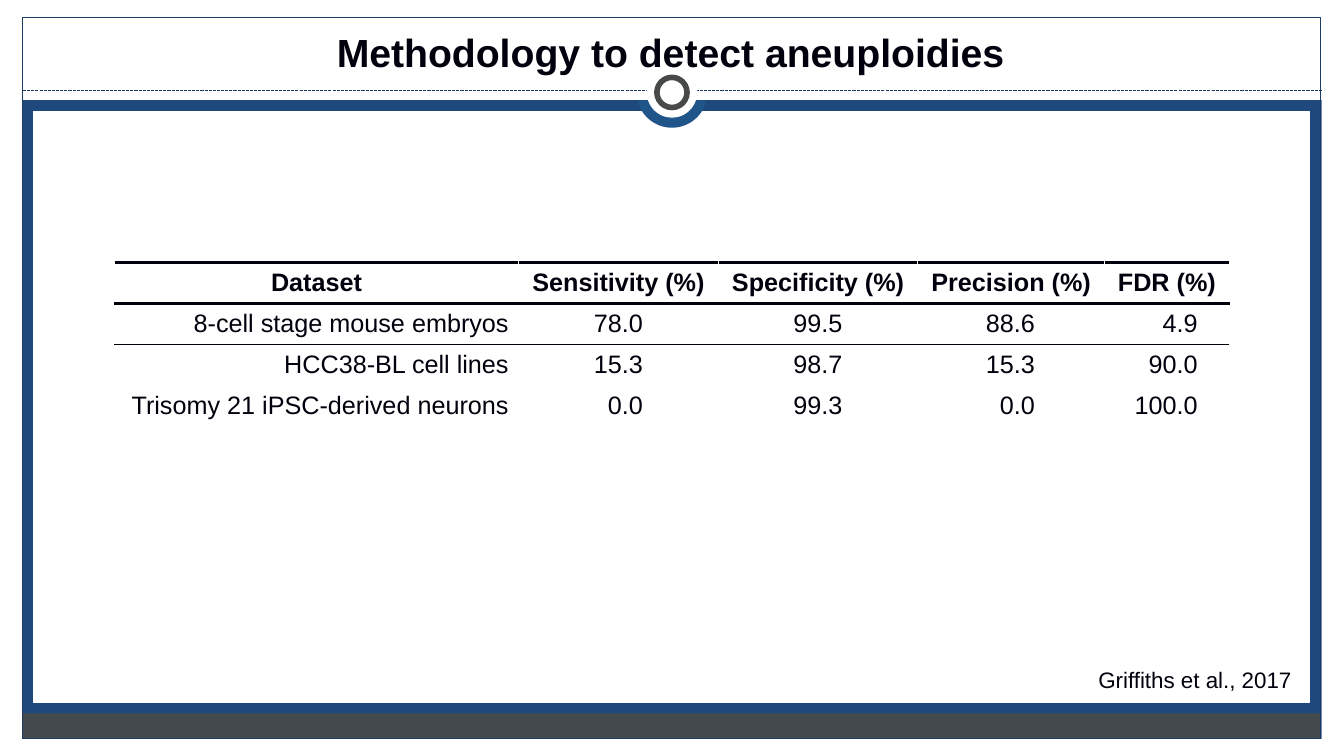
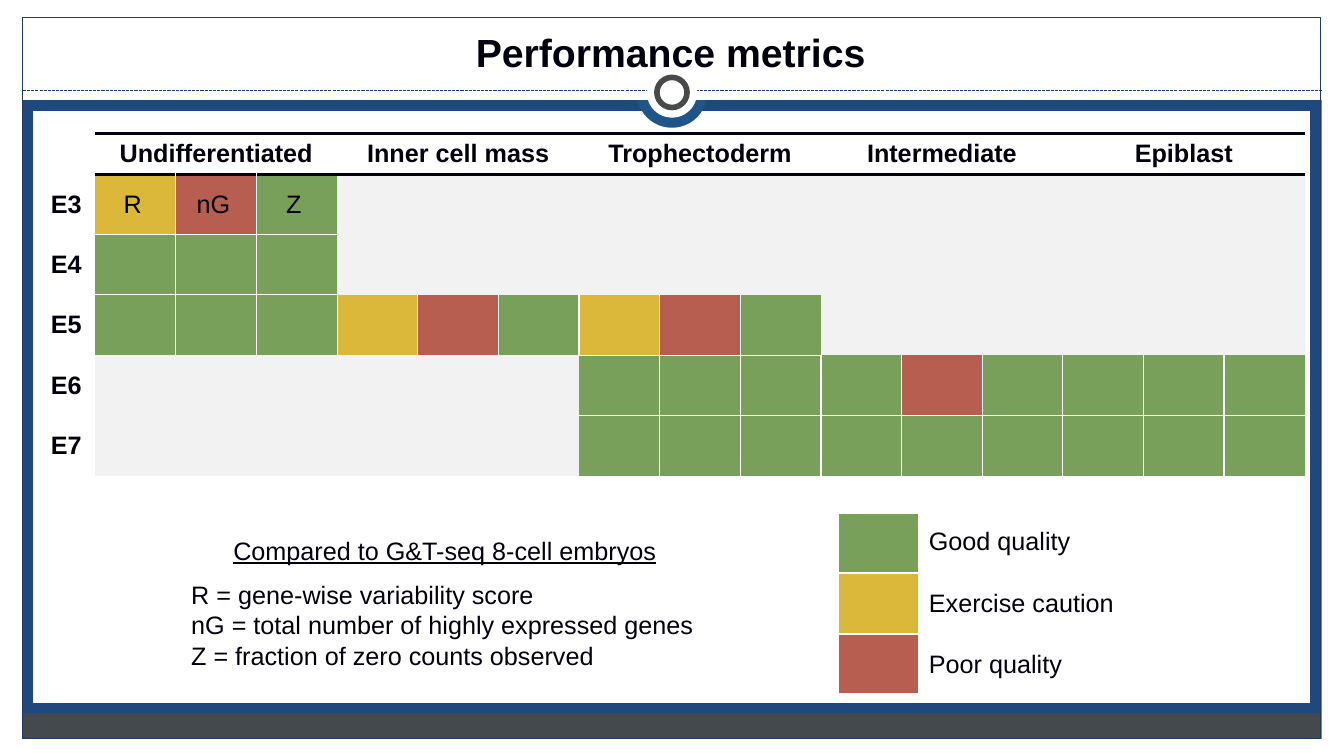
"""Builds two framed slides on aneuploidy detection and its performance metrics."""
from dataclasses import dataclass

from lxml import etree
from pptx import Presentation
from pptx.dml.color import RGBColor
from pptx.enum.dml import MSO_LINE
from pptx.enum.shapes import MSO_CONNECTOR, MSO_SHAPE
from pptx.enum.text import MSO_ANCHOR, PP_ALIGN
from pptx.oxml.ns import qn
from pptx.util import Cm, Pt

RECT, OVAL = MSO_SHAPE.RECTANGLE, MSO_SHAPE.OVAL
LEFT, CENTER, RIGHT = PP_ALIGN.LEFT, PP_ALIGN.CENTER, PP_ALIGN.RIGHT
MIDDLE, STRAIGHT = MSO_ANCHOR.MIDDLE, MSO_CONNECTOR.STRAIGHT
DASHED = MSO_LINE.SQUARE_DOT
PLAIN_TABLE = "{2D5ABB26-0587-4C30-8999-92F81FD0307C}"


@dataclass(frozen=True)
class Theme:
    """Colours, font and type sizes shared by the slides."""
    font: str = "Arial"
    ink: str = "00010D"
    paper: str = "FFFFFF"
    backdrop: str = "1F497D"
    outline: str = "1E3B66"
    medallion: str = "20558A"
    charcoal: str = "484A49"
    good: str = "78A05A"
    caution: str = "DBB839"
    poor: str = "B75E51"
    absent: str = "F2F2F2"
    title_size: int = 28
    body_size: int = 18
    source_size: int = 16


THEME = Theme()
WIDTH, HEIGHT = 33.87, 19.05
EDGE = 0.56
INNER = 32.72
RULE = (THEME.ink, 2.25)
THIN_RULE = (THEME.ink, 1.5)
GAP = (THEME.paper, 1)
SEPARATOR = (THEME.paper, 3)

DETECTION = [
    ["Dataset", "Sensitivity (%)", "Specificity (%)", "Precision (%)", "FDR (%)"],
    ["8-cell stage mouse embryos", "78.0", "99.5", "88.6", "4.9"],
    ["HCC38-BL cell lines", "15.3", "98.7", "15.3", "90.0"],
    ["Trisomy 21 iPSC-derived neurons", "0.0", "99.3", "0.0", "100.0"],
]
LINEAGES = ["Undifferentiated", "Inner cell mass", "Trophectoderm", "Intermediate", "Epiblast"]
METRICS = ["R", "nG", "Z"]
QUALITY = {
    "E3": "CPG............",
    "E4": "GGG............",
    "E5": "GGGCPGCPG......",
    "E6": "......GGGGPGGGG",
    "E7": "......GGGGGGGGG",
}
QUALITY_COLORS = {"G": THEME.good, "C": THEME.caution, "P": THEME.poor, ".": THEME.absent}
LEGEND = {"Good quality": THEME.good, "Exercise caution": THEME.caution,
          "Poor quality": THEME.poor}


def rgb(color):
    """Return the colour object for a hex string."""
    return RGBColor.from_string(color)


def add_text(frame, text, size=THEME.body_size, bold=False, underline=False,
             align=LEFT, after=0, tab=None):
    """Add one formatted paragraph to a text frame."""
    paragraph = frame.paragraphs[0] if not frame.text else frame.add_paragraph()
    paragraph.alignment = align
    paragraph.space_after = Pt(after)
    if tab is not None:
        stops = etree.SubElement(paragraph._p.get_or_add_pPr(), qn("a:tabLst"))
        etree.SubElement(stops, qn("a:tab"), pos=str(Cm(tab)), algn="l")
    run = paragraph.add_run()
    run.text = text
    font = run.font
    font.name, font.size, font.bold, font.underline = THEME.font, Pt(size), bold, underline
    font.color.rgb = rgb(THEME.ink)


def add_box(slide, left, top, width, height):
    """Add a wrapping text box and return its text frame."""
    frame = slide.shapes.add_textbox(Cm(left), Cm(top), Cm(width), Cm(height)).text_frame
    frame.word_wrap = True
    return frame


def add_block(slide, left, top, width, height, kind=RECT, fill=None, line=None, opacity=None):
    """Add a flat shape with an optional fill, outline and opacity in percent."""
    block = slide.shapes.add_shape(kind, Cm(left), Cm(top), Cm(width), Cm(height))
    block.shadow.inherit = False
    if fill:
        block.fill.solid()
        block.fill.fore_color.rgb = rgb(fill)
    else:
        block.fill.background()
    if opacity is not None:
        tint = block._element.spPr.find(qn("a:solidFill")).find(qn("a:srgbClr"))
        etree.SubElement(tint, qn("a:alpha"), val=str(opacity * 1000))
    if line:
        block.line.color.rgb = rgb(line[0])
        block.line.width = Pt(line[1])
    else:
        block.line.fill.background()


def add_disc(slide, diameter, fill, line=None):
    """Add a circle centred on the medallion below the title."""
    radius = diameter / 2
    add_block(slide, WIDTH / 2 - radius, 2.33 - radius, diameter, diameter,
              kind=OVAL, fill=fill, line=line)


def add_dashed_line(slide, left, right, height):
    """Add the dashed line under the title."""
    dashes = slide.shapes.add_connector(STRAIGHT, Cm(left), Cm(height), Cm(right), Cm(height))
    dashes.line.color.rgb = rgb(THEME.outline)
    dashes.line.width = Pt(0.75)
    dashes.line.dash_style = DASHED
    etree.SubElement(dashes._element.spPr, qn("a:effectLst"))


def add_framed_slide(deck, title):
    """Add a slide with the shared frame, medallion and title."""
    slide = deck.slides.add_slide(deck.slide_layouts[6])
    slide.background.fill.solid()
    slide.background.fill.fore_color.rgb = rgb(THEME.backdrop)
    footer_bottom = HEIGHT - 0.43
    for margin in ((0, footer_bottom, WIDTH, 0.43), (0, 0, EDGE, HEIGHT),
                   (WIDTH - EDGE, 0, EDGE, HEIGHT)):
        add_block(slide, *margin, fill=THEME.paper)
    add_block(slide, EDGE, footer_bottom - 0.64, INNER, 0.64, fill=THEME.charcoal, opacity=91)
    add_block(slide, 0.85, 2.8, 32.15, 14.9, fill=THEME.paper, line=(THEME.paper, 0.75))
    add_disc(slide, 1.78, THEME.medallion)
    add_block(slide, 0, 0, WIDTH, 2.52, fill=THEME.paper)
    add_dashed_line(slide, 0.58, WIDTH - EDGE, 2.27)
    add_disc(slide, 1.27, THEME.paper)
    add_block(slide, EDGE, 0.43, INNER, 18.19, line=(THEME.outline, 0.75))
    add_disc(slide, 0.76, THEME.paper, line=(THEME.charcoal, 4))
    add_text(add_box(slide, 0.54, 0.6, INNER, 2.11), title,
             size=THEME.title_size, bold=True, align=CENTER)
    return slide


def add_grid(slide, left, top, widths, heights):
    """Add an unstyled table with the given column widths and row heights."""
    grid = slide.shapes.add_table(len(heights), len(widths), Cm(left), Cm(top),
                                  Cm(sum(widths)), Cm(sum(heights))).table
    grid.first_row = grid.horz_banding = False
    grid._tbl.tblPr.find(qn("a:tableStyleId")).text = PLAIN_TABLE
    for column, width in zip(grid.columns, widths):
        column.width = Cm(width)
    for row, height in zip(grid.rows, heights):
        row.height = Cm(height)
    return grid


def format_cell(cell, text=None, fill=None, borders=None, margin=0.25, **text_format):
    """Set the text, fill and borders (keyed L, R, T, B) of a table cell."""
    borders = borders or {}
    properties = cell._tc.get_or_add_tcPr()
    for side in "LRTB":
        edge = etree.SubElement(properties, qn(f"a:ln{side}"))
        if side in borders:
            color, points = borders[side]
            edge.set("w", str(Pt(points)))
            paint = etree.SubElement(edge, qn("a:solidFill"))
            etree.SubElement(paint, qn("a:srgbClr"), val=color)
        else:
            etree.SubElement(edge, qn("a:noFill"))
    if fill:
        cell.fill.solid()
        cell.fill.fore_color.rgb = rgb(fill)
    else:
        cell.fill.background()
    cell.vertical_anchor = MIDDLE
    cell.margin_right = Cm(margin)
    if text:
        add_text(cell.text_frame, text, **text_format)


def add_detection_table(slide):
    """Add the table of detection rates per dataset."""
    margins = [0.25, 1.9, 1.9, 1.75, 0.8]
    grid = add_grid(slide, 2.88, 6.62, [10.19, 5.03, 5.03, 4.7, 3.15], [1.03] * len(DETECTION))
    row_borders = [{"L": GAP, "R": GAP, "T": RULE, "B": RULE},
                   {"T": RULE, "B": THIN_RULE}, {"T": THIN_RULE, "B": GAP}, {"T": GAP}]
    for row, (values, borders) in enumerate(zip(DETECTION, row_borders)):
        for column, value in enumerate(values):
            header = row == 0
            format_cell(grid.cell(row, column), value, borders=borders, bold=header,
                        align=CENTER if header else RIGHT,
                        margin=0.25 if header else margins[column])


def quality_borders(marks, row, column):
    """Return white borders towards neighbours that were also assessed."""
    neighbours = {"L": (row, column - 1), "R": (row, column + 1),
                  "T": (row - 1, column), "B": (row + 1, column)}
    borders = {side: GAP for side, (y, x) in neighbours.items()
               if 0 <= y < len(marks) and 0 <= x < len(marks[y])
               and "." not in (marks[row][column], marks[y][x])}
    if row == 0:
        borders["T"] = RULE
    return borders


def add_quality_table(slide):
    """Add the quality map of embryonic days against lineages."""
    marks = list(QUALITY.values())
    span = len(METRICS)
    days = len(marks[0])
    grid = add_grid(slide, 0.94, 3.36, [1.46] + [30.49 / days] * days,
                    [1.03] + [1.52] * len(marks))
    format_cell(grid.cell(0, 0))
    for group, lineage in enumerate(LINEAGES):
        first = 1 + group * span
        grid.cell(0, first).merge(grid.cell(0, first + span - 1))
        for offset in range(span):
            format_cell(grid.cell(0, first + offset), None if offset else lineage,
                        borders={"T": RULE, "B": RULE}, bold=True, align=CENTER)
    for row, (day, day_marks) in enumerate(QUALITY.items()):
        format_cell(grid.cell(row + 1, 0), day, bold=True, align=CENTER)
        for column, mark in enumerate(day_marks):
            metric = METRICS[column] if row == 0 and column < span else None
            format_cell(grid.cell(row + 1, column + 1), metric, fill=QUALITY_COLORS[mark],
                        borders=quality_borders(marks, row, column), margin=0.4, align=CENTER)


def add_legend(slide):
    """Add the colour key of the quality map."""
    labels = add_box(slide, 23.16, 13.11, 6.88, 4.11)
    for position, (label, color) in enumerate(LEGEND.items()):
        add_text(labels, label, after=22.5)
        swatch = add_grid(slide, 21.13, 12.93 + 1.53 * position, [2.03], [1.53])
        format_cell(swatch.cell(0, 0), fill=color,
                    borders={"L": GAP, "R": GAP, "T": GAP, "B": SEPARATOR})


def add_metric_notes(slide):
    """Add the explanation of the metric abbreviations."""
    notes = add_box(slide, 4.57, 13.36, 14.58, 3.68)
    add_text(notes, "\tCompared to G&T-seq 8-cell embryos", underline=True, after=10, tab=1.06)
    for note in ("R = gene-wise variability score",
                 "nG = total number of highly expressed genes",
                 "Z = fraction of zero counts observed"):
        add_text(notes, note)


def main():
    """Build and save the presentation."""
    deck = Presentation()
    deck.slide_width, deck.slide_height = Cm(WIDTH), Cm(HEIGHT)

    methodology = add_framed_slide(deck, "Methodology to detect aneuploidies")
    add_text(add_box(methodology, 27.43, 16.66, 5.6, 0.94), "Griffiths et al., 2017",
             size=THEME.source_size)
    add_detection_table(methodology)

    performance = add_framed_slide(deck, "Performance metrics")
    add_quality_table(performance)
    add_legend(performance)
    add_metric_notes(performance)

    deck.save("out.pptx")


if __name__ == "__main__":
    main()
